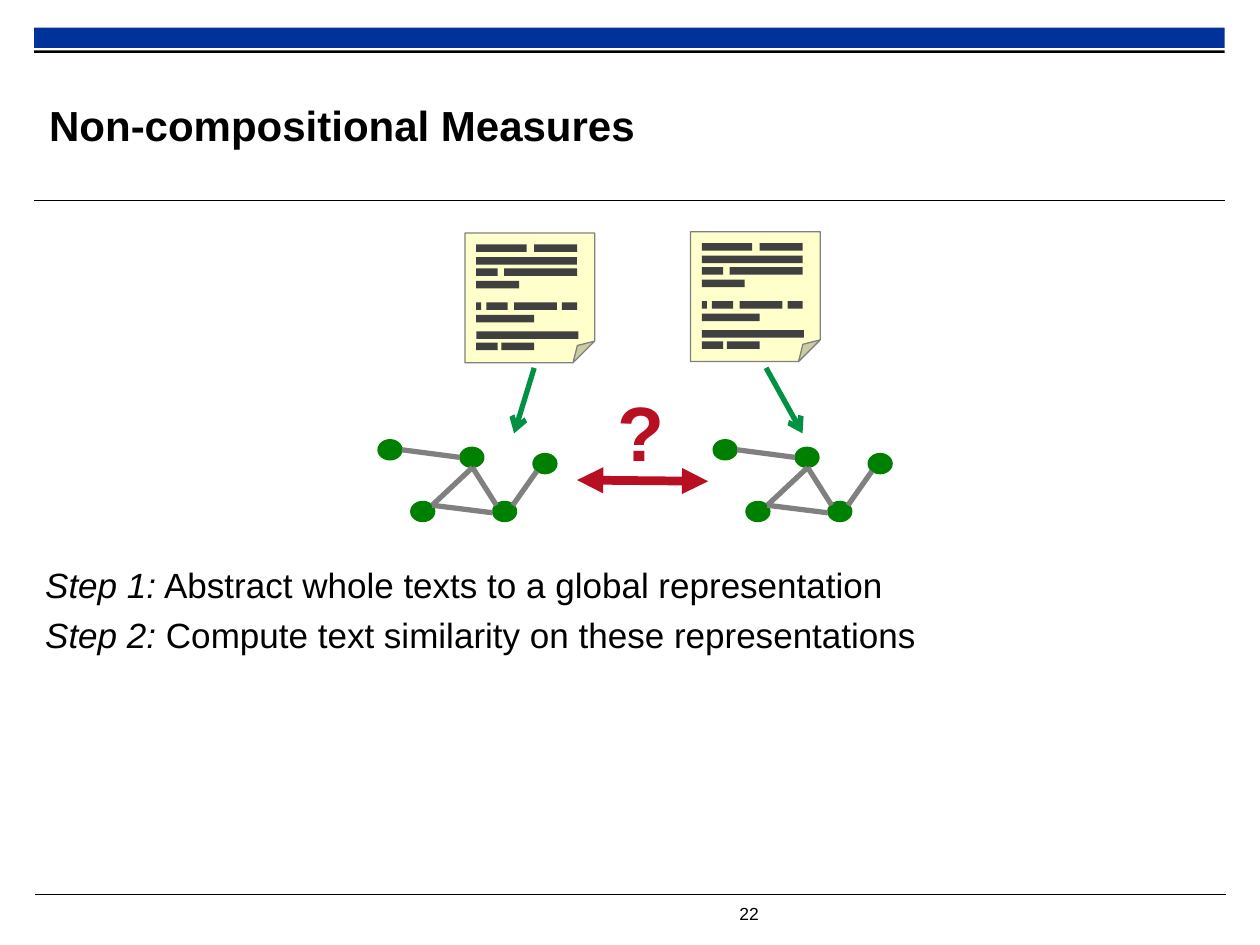
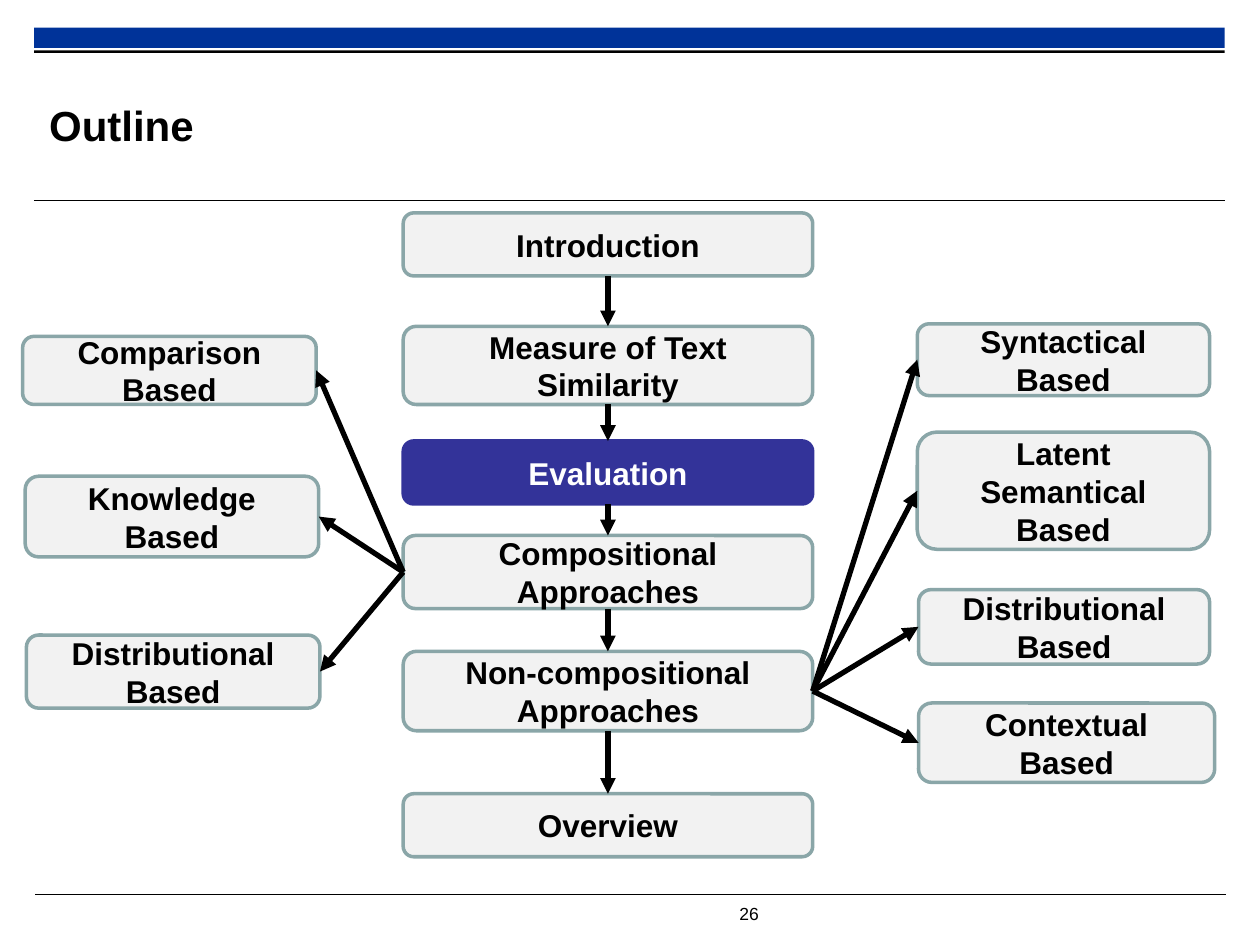
"""Build two slides on text similarity measures."""
import pptx
import pptx.util
import pptx.dml.color
import pptx.enum.shapes
import pptx.enum.text
import pptx.oxml.ns
from lxml import etree

Inches = pptx.util.Inches
Pt = pptx.util.Pt
KIND = pptx.enum.shapes.MSO_SHAPE
STRAIGHT = pptx.enum.shapes.MSO_CONNECTOR.STRAIGHT
ALIGN = pptx.enum.text.PP_ALIGN
ANCHOR = pptx.enum.text.MSO_ANCHOR

FONT = "Arial"
BLACK, WHITE, BLUE = "000000", "FFFFFF", "003399"
PAPER, GRAY, INK = "FFFFCC", "808080", "404040"
GREEN, NODE, RED = "009242", "008000", "B90F22"
PALE, EDGE, FOCUS = "F2F2F2", "8AA6A8", "333399"
TOP, LEFT, BOTTOM, RIGHT = range(4)

BAR = 0.06
ROWS = [
    (0.09, [(0.09, 0.4), (0.55, 0.34)]),
    (0.19, [(0.09, 0.8)]),
    (0.28, [(0.09, 0.17), (0.31, 0.58)]),
    (0.38, [(0.09, 0.34)]),
    (0.55, [(0.09, 0.04), (0.17, 0.17), (0.39, 0.34), (0.77, 0.12)]),
    (0.65, [(0.09, 0.46)]),
    (0.78, [(0.09, 0.81)]),
    (0.87, [(0.09, 0.17), (0.29, 0.26)]),
]
NODES = [(0, 3.49), (0.65, 3.55), (0.26, 3.98), (0.91, 3.98), (1.23, 3.6)]
EDGES = [
    (0.19, 3.57, 0.65, 3.63),
    (0.94, 4.01, 0.75, 3.71),
    (1.26, 3.74, 1.07, 4.01),
    (0.43, 4.01, 0.91, 4.07),
    (0.43, 4.01, 0.75, 3.71),
]
STEPS = [
    ("Step 1:", " Abstract whole texts to a global representation"),
    ("Step 2:", " Compute text similarity on these representations"),
]
MAIN = [
    ("Introduction", 1.69, 0.5),
    ("Measure of Text Similarity", 2.59, 0.62),
    ("Evaluation", 3.5, 0.5),
    ("Compositional Approaches", 4.25, 0.58),
    ("Non-compositional Approaches", 5.17, 0.63),
    ("Overview", 6.3, 0.5),
]
COMP = [
    ("Comparison Based", 0.18, 2.67, 2.33, 0.54),
    ("Knowledge Based", 0.2, 3.78, 2.33, 0.64),
    ("Distributional Based", 0.21, 5.04, 2.33, 0.58),
]
WHOLE = [
    ("Syntactical Based", 7.28, 2.57, 2.32, 0.57),
    ("Latent Semantical Based", 7.28, 3.43, 2.32, 0.93),
    ("Distributional Based", 7.29, 4.68, 2.31, 0.59),
    ("Contextual Based", 7.29, 5.58, 2.35, 0.63),
]


def color(code):
    """Turn a hex string into a colour."""
    return pptx.dml.color.RGBColor.from_string(code)


def style(font, size, code=BLACK, bold=False, slant=False):
    """Format a font."""
    font.name, font.size = FONT, Pt(size)
    font.bold, font.italic = bold, slant
    font.color.rgb = color(code)


def shape(shapes, kind, left, top, width, height, fill, edge=None, weight=0.75):
    """Add a flat preset shape."""
    item = shapes.add_shape(
        kind, Inches(left), Inches(top), Inches(width), Inches(height))
    item.shadow.inherit = False
    item.fill.solid()
    item.fill.fore_color.rgb = color(fill)
    if edge:
        item.line.color.rgb = color(edge)
        item.line.width = Pt(weight)
    else:
        item.line.fill.background()
    return item


def line(shapes, x1, y1, x2, y2, code, weight, head=None, tail=None):
    """Add a straight line with optional arrowheads."""
    item = shapes.add_connector(
        STRAIGHT, Inches(x1), Inches(y1), Inches(x2), Inches(y2))
    item.line.color.rgb = color(code)
    item.line.width = Pt(weight)
    stroke = item.line._get_or_add_ln()
    for tag, kind in (("a:headEnd", head), ("a:tailEnd", tail)):
        if kind:
            etree.SubElement(stroke, pptx.oxml.ns.qn(tag), type=kind)
    etree.SubElement(item._element.spPr, pptx.oxml.ns.qn("a:effectLst"))
    return item


def label(shapes, text, left, top, width, height, size, code=BLACK, bold=False):
    """Add a one-line text box."""
    item = shapes.add_textbox(
        Inches(left), Inches(top), Inches(width), Inches(height))
    item.text_frame.text = text
    item.text_frame.word_wrap = False
    style(item.text_frame.paragraphs[0].font, size, code, bold)


def frame(deck, title, page):
    """Add a slide with its bands, rules, title and page number."""
    slide = deck.slides.add_slide(deck.slide_layouts[5])
    shapes = slide.shapes
    shape(shapes, KIND.RECTANGLE, 0.27, 0.22, 9.45, 0.16, BLUE)
    shape(shapes, KIND.RECTANGLE, 0.27, 0.4, 9.45, 0.02, BLACK)
    for left, top in ((0.27, 1.59), (0.28, 7.1)):
        line(shapes, left, top, left + 9.45, top, BLACK, 0.6)
    label(shapes, page, 5.77, 7.12, 0.48, 0.27, 10)
    head = shapes.title
    head.left, head.top = Inches(0.39), Inches(0.53)
    head.width, head.height = Inches(7.11), Inches(0.92)
    text = head.text_frame
    text.text = title
    text.vertical_anchor = ANCHOR.MIDDLE
    text.margin_left = text.margin_right = 0
    text.margin_top = text.margin_bottom = 0
    text.paragraphs[0].alignment = ALIGN.LEFT
    style(text.paragraphs[0].runs[0].font, 24, bold=True)
    return shapes


def sheet(shapes, left, top):
    """Draw a page of text with a folded corner."""
    group = shapes.add_group_shape().shapes
    shape(group, KIND.FOLDED_CORNER, left, top, 1.03, 1.03, PAPER, GRAY)
    for down, bars in ROWS:
        for across, width in bars:
            shape(group, KIND.RECTANGLE, left + across, top + down,
                  width, BAR, INK)


def graph(shapes, left):
    """Draw a small network of nodes."""
    group = shapes.add_group_shape().shapes
    for across, top in NODES:
        shape(group, KIND.OVAL, left + across, top, 0.19, 0.16, NODE, NODE)
    for x1, y1, x2, y2 in EDGES:
        line(group, left + x1, y1, left + x2, y2, GRAY, 3)


def steps(shapes):
    """Add the step list."""
    item = shapes.add_textbox(
        Inches(0.26), Inches(4.42), Inches(9.48), Inches(2.42))
    text = item.text_frame
    text.word_wrap = True
    for index, (name, task) in enumerate(STEPS):
        para = text.add_paragraph() if index else text.paragraphs[0]
        if index:
            para.space_before = Pt(5)
        for part, slant in ((name, True), (task, False)):
            run = para.add_run()
            run.text = part
            style(run.font, 20, slant=slant)


def box(shapes, text, left, top, width, height, focus=False):
    """Add a rounded topic box."""
    fill, edge, ink = (FOCUS, FOCUS, WHITE) if focus else (PALE, EDGE, BLACK)
    item = shape(shapes, KIND.ROUNDED_RECTANGLE, left, top, width, height,
                 fill, edge, 2)
    item.text_frame.text = text
    item.text_frame.word_wrap = True
    item.text_frame.vertical_anchor = ANCHOR.MIDDLE
    para = item.text_frame.paragraphs[0]
    para.alignment = ALIGN.CENTER
    style(para.runs[0].font, 18, ink, True)
    return item


def join(shapes, start, out, end, into):
    """Link the sides of two boxes with an arrow."""
    item = line(shapes, 0, 0, 1, 1, BLACK, 3, tail="triangle")
    item.begin_connect(start, out)
    item.end_connect(end, into)


def measures(deck):
    """Build the slide on non-compositional measures."""
    shapes = frame(deck, "Non-compositional Measures", "22")
    steps(shapes)
    sheet(shapes, 3.69, 1.85)
    sheet(shapes, 5.48, 1.84)
    for x1, x2, left in ((4.24, 4.08, 3), (6.08, 6.37, 5.66)):
        line(shapes, x1, 2.92, x2, 3.44, GREEN, 3, tail="arrow")
        graph(shapes, left)
    line(shapes, 5.62, 3.82, 4.58, 3.81, RED, 5, "triangle", "triangle")
    label(shapes, "?", 4.8, 3, 0.58, 0.84, 44, RED, True)


def outline(deck):
    """Build the outline slide."""
    shapes = frame(deck, "Outline", "26")
    chain = [box(shapes, text, 3.2, top, 3.25, height, text == "Evaluation")
             for text, top, height in MAIN]
    for start, end in zip(chain, chain[1:]):
        join(shapes, start, BOTTOM, end, TOP)
    for start, out, into, topics in ((chain[3], LEFT, RIGHT, COMP),
                                     (chain[4], RIGHT, LEFT, WHOLE)):
        for topic in topics:
            join(shapes, start, out, box(shapes, *topic), into)


def main():
    """Build and save the deck."""
    deck = pptx.Presentation()
    deck.slide_width, deck.slide_height = Inches(10), Inches(7.5)
    measures(deck)
    outline(deck)
    deck.save("out.pptx")


if __name__ == "__main__":
    main()
